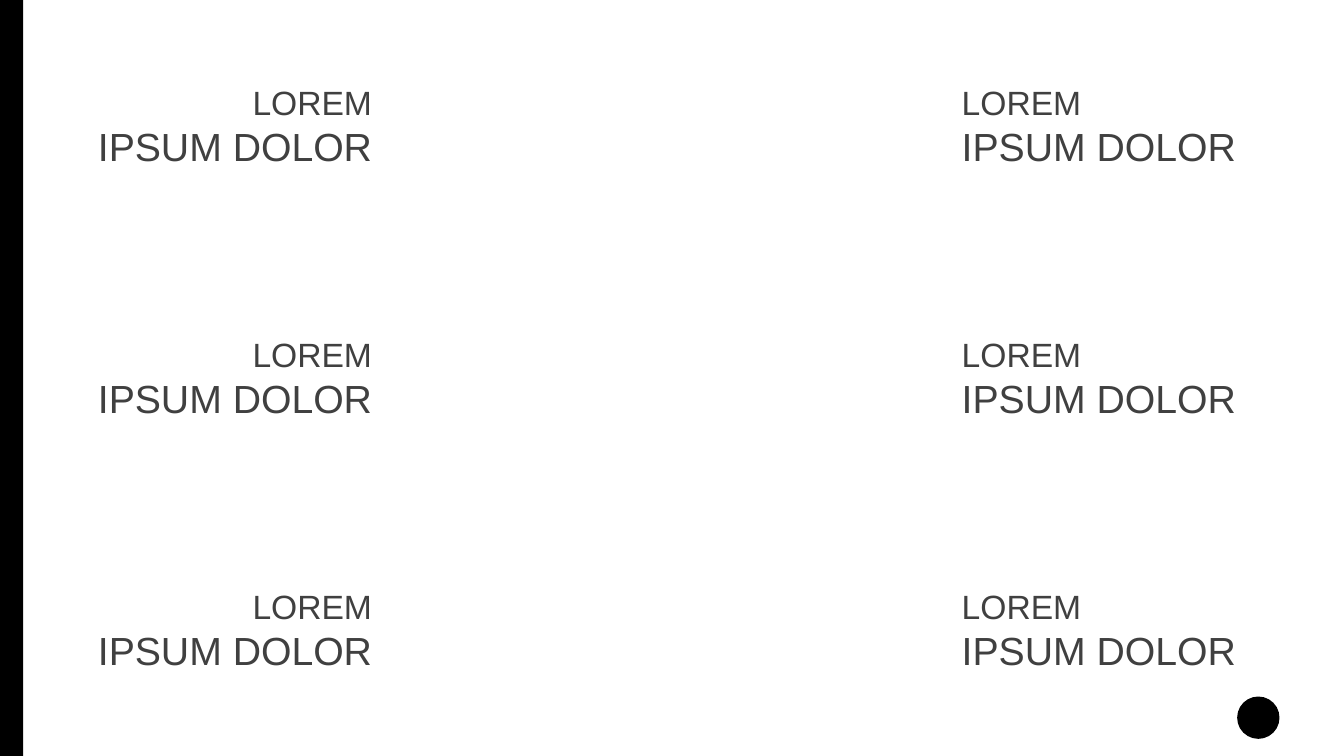
from pptx import Presentation
from pptx.dml.color import RGBColor
from pptx.enum.shapes import MSO_SHAPE
from pptx.enum.text import MSO_AUTO_SIZE, PP_ALIGN
from pptx.util import Inches, Pt

CAPTION_LINES = (("LOREM", 24), ("IPSUM DOLOR", 28))
CAPTION_TOP, ROW_STEP, ROW_COUNT = 0.76, 2.5, 3
CAPTION_COLUMNS = (
    (0.68, PP_ALIGN.RIGHT, {"margin_right": Inches(0.2)}),
    (9.44, PP_ALIGN.LEFT, {}),
)


def color(value):
    return RGBColor.from_string(value)


def set_format(target, values):
    for name, value in values.items():
        setattr(target, name, value)


def add_solid(page, kind, left, top, width, height, fill):
    shape = page.shapes.add_shape(
        kind, Inches(left), Inches(top), Inches(width), Inches(height))
    shape.shadow.inherit = False
    shape.fill.solid()
    shape.fill.fore_color.rgb = color(fill)
    shape.line.fill.background()


def add_caption(page, left, top, align, margins):
    box = page.shapes.add_textbox(
        Inches(left), Inches(top), Inches(3.21), Inches(0.98))
    frame = box.text_frame
    set_format(frame, {"word_wrap": True,
                       "auto_size": MSO_AUTO_SIZE.SHAPE_TO_FIT_TEXT, **margins})
    for index, (text, size) in enumerate(CAPTION_LINES):
        para = frame.add_paragraph() if index else frame.paragraphs[0]
        para.alignment = align
        span = para.add_run()
        span.text = text
        set_format(span.font, {"name": "Arial", "size": Pt(size)})
        span.font.color.rgb = color("404040")


def main():
    deck = Presentation()
    set_format(deck, {"slide_width": Inches(13.33), "slide_height": Inches(7.5)})
    page = deck.slides.add_slide(deck.slide_layouts[6])
    add_solid(page, MSO_SHAPE.RECTANGLE, 0, 0, 0.23, 7.5, "000000")
    for left, align, margins in CAPTION_COLUMNS:
        for row in range(ROW_COUNT):
            add_caption(page, left, CAPTION_TOP + row * ROW_STEP, align, margins)
    add_solid(page, MSO_SHAPE.OVAL, 12.27, 6.91, 0.42, 0.42, "000000")
    deck.save("out.pptx")


if __name__ == "__main__":
    main()
